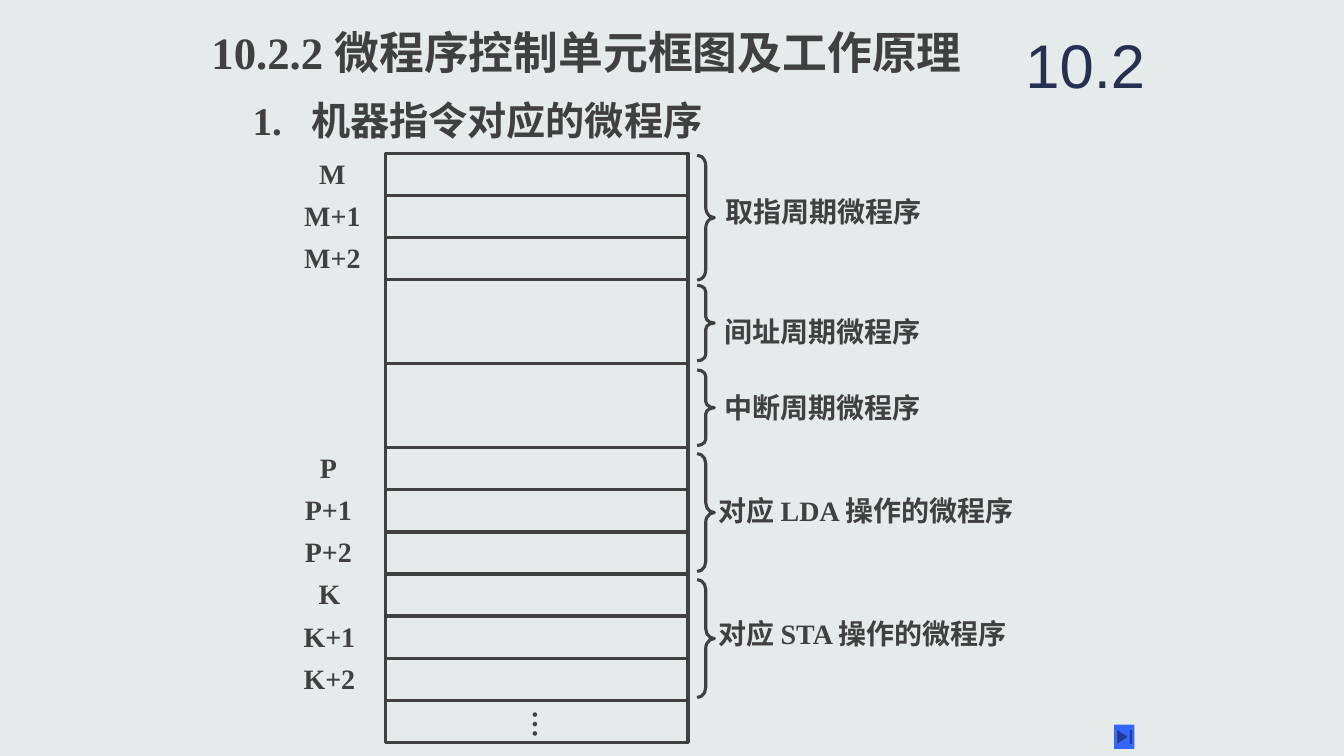
import dataclasses

import pptx
import pptx.dml.color
import pptx.enum.shapes
import pptx.enum.text
import pptx.oxml
import pptx.oxml.ns
import pptx.util

Inches = pptx.util.Inches
Kind = pptx.enum.shapes.MSO_SHAPE
Align = pptx.enum.text.PP_ALIGN
Anchor = pptx.enum.text.MSO_ANCHOR


@dataclasses.dataclass(frozen=True)
class Theme:
    back: str = "E5EAEA"
    ink: str = "404040"
    navy: str = "263050"
    blue: str = "3366FF"
    serif: str = "Times New Roman"
    sans: str = "Arial"
    title: int = 32
    head: int = 28
    body: int = 20
    mark: int = 44
    line: float = 2.25


THEME = Theme()
LEFT, TOP, WIDTH, ROW = 3.83, 1.52, 3, 0.4175
CELLS = [1, 1, 1, 2, 2, 1, 1, 1, 1, 1, 1, 1]
LABELS = [("M", 0, 3.3), ("P", 7, 3.26), ("K", 10, 3.27)]
BRACES = [
    (1.54, 1.24, "取指周期微程序", 7.1, 1.88),
    (2.83, 0.75, "间址周期微程序", 7.09, 3.07),
    (3.67, 0.75, "中断周期微程序", 7.09, 3.82),
    (4.5, 1.17, "对应 LDA 操作的微程序", 7.03, 4.85),
    (5.75, 1.17, "对应 STA 操作的微程序", 7.03, 6.07),
]


def color(code):
    return pptx.dml.color.RGBColor.from_string(code)


def add_text(slide, text, box, size=THEME.body, align=Align.LEFT,
             face=THEME.serif, ink=THEME.ink, bold=True, tab=None):
    shape = slide.shapes.add_textbox(*map(Inches, box))
    frame = shape.text_frame
    frame.word_wrap = True
    para = frame.paragraphs[0]
    para.alignment = align
    if tab:
        stops = pptx.oxml.parse_xml(
            f'<a:tabLst {pptx.oxml.ns.nsdecls("a")}>'
            f'<a:tab pos="{Inches(tab)}" algn="l"/></a:tabLst>')
        para._p.get_or_add_pPr().append(stops)
    run = para.add_run()
    run.text = text
    run.font.name = face
    run.font.size = pptx.util.Pt(size)
    run.font.bold = bold
    run.font.color.rgb = color(ink)
    return frame


def add_shape(slide, kind, box):
    shape = slide.shapes.add_shape(kind, *map(Inches, box))
    shape.shadow.inherit = False
    shape.fill.background()
    shape.line.color.rgb = color(THEME.ink)
    shape.line.width = pptx.util.Pt(THEME.line)
    return shape


def add_cells(slide):
    top = TOP
    for rows in CELLS:
        add_shape(slide, Kind.RECTANGLE, (LEFT, top, WIDTH, rows * ROW))
        top += rows * ROW
    dots = add_text(slide, "…", (5.09, 6.95, 0.53, 0.38))
    dots.word_wrap = False
    dots.margin_left = dots.margin_right = Inches(0.05)
    dots.margin_top = dots.margin_bottom = Inches(0.1)
    dots._txBody.bodyPr.set("vert", "eaVert")


def add_labels(slide):
    for name, first, mid in LABELS:
        for step in range(3):
            text = f"{name}+{step}" if step else name
            top = TOP + (first + step) * ROW - 0.02
            add_text(slide, text, (mid - 0.45, top, 0.9, 0.44),
                     align=Align.CENTER)


def add_brace(slide, top, high, text, left, text_top):
    wide = 0.17
    brace = add_shape(slide, Kind.RIGHT_BRACE, (6.92, top, wide, high))
    brace.adjustments[0] = high / 12 / wide
    add_text(slide, text, (left, text_top, 3.28, 0.44))


def add_button(slide):
    button = add_shape(slide, Kind.ACTION_BUTTON_END, (11.06, 7.19, 0.2, 0.24))
    button.fill.solid()
    button.fill.fore_color.rgb = color(THEME.blue)
    button.line.fill.background()


def main():
    deck = pptx.Presentation()
    deck.slide_width, deck.slide_height = Inches(13.34), Inches(7.5)
    slide = deck.slides.add_slide(deck.slide_layouts[6])
    slide.background.fill.solid()
    slide.background.fill.fore_color.rgb = color(THEME.back)

    add_text(slide, "10.2.2 微程序控制单元框图及工作原理",
             (2, 0.2, 8, 0.64), THEME.title)
    add_text(slide, "1.\t机器指令对应的微程序",
             (2.41, 0.91, 5.33, 0.57), THEME.head, tab=0.58)
    add_cells(slide)
    add_labels(slide)
    for brace in BRACES:
        add_brace(slide, *brace)
    mark = add_text(slide, "10.2", (10.08, 0.17, 1.58, 0.92), THEME.mark,
                    face=THEME.sans, ink=THEME.navy, bold=False)
    mark.vertical_anchor = Anchor.MIDDLE
    add_button(slide)
    deck.save("out.pptx")


if __name__ == "__main__":
    main()
